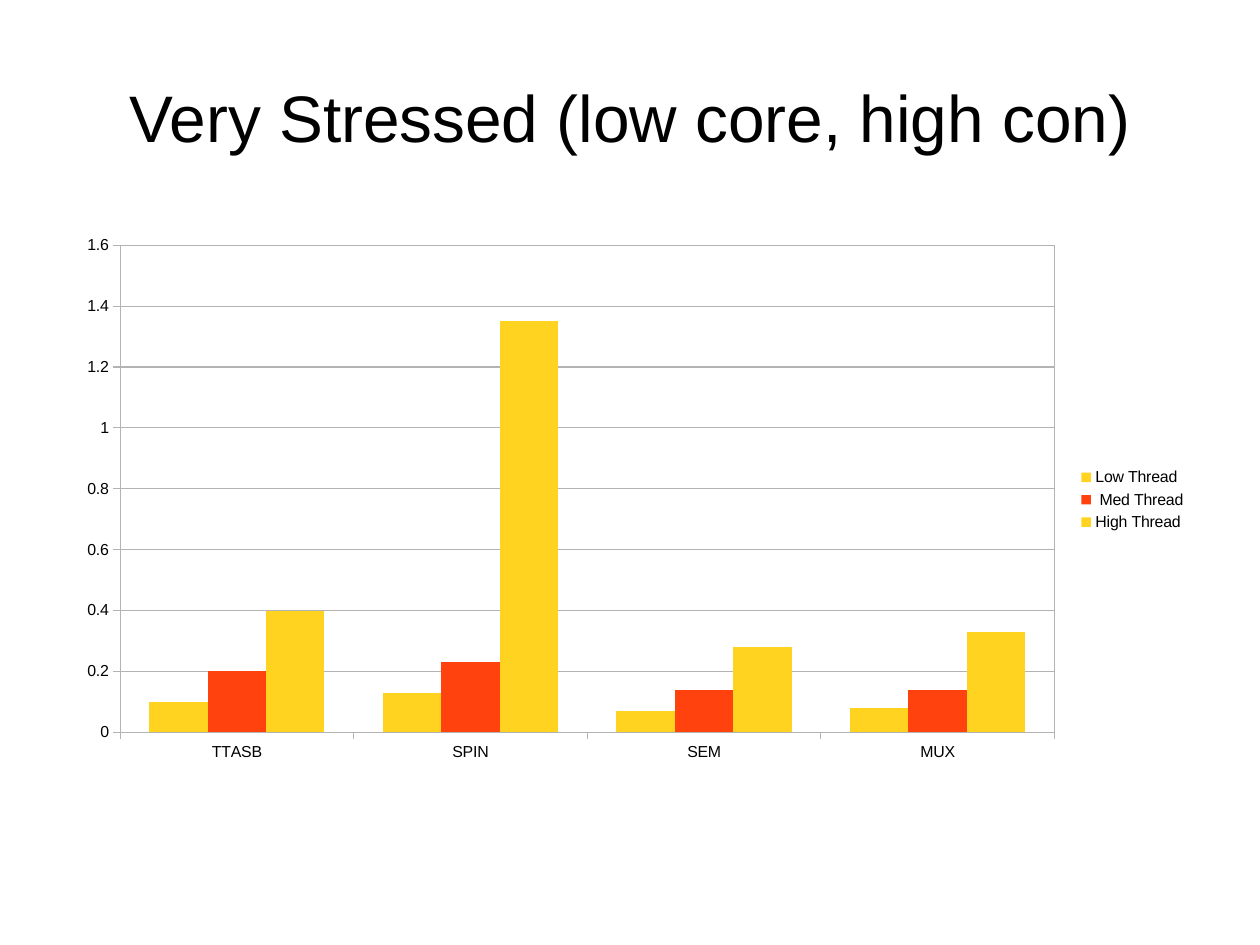
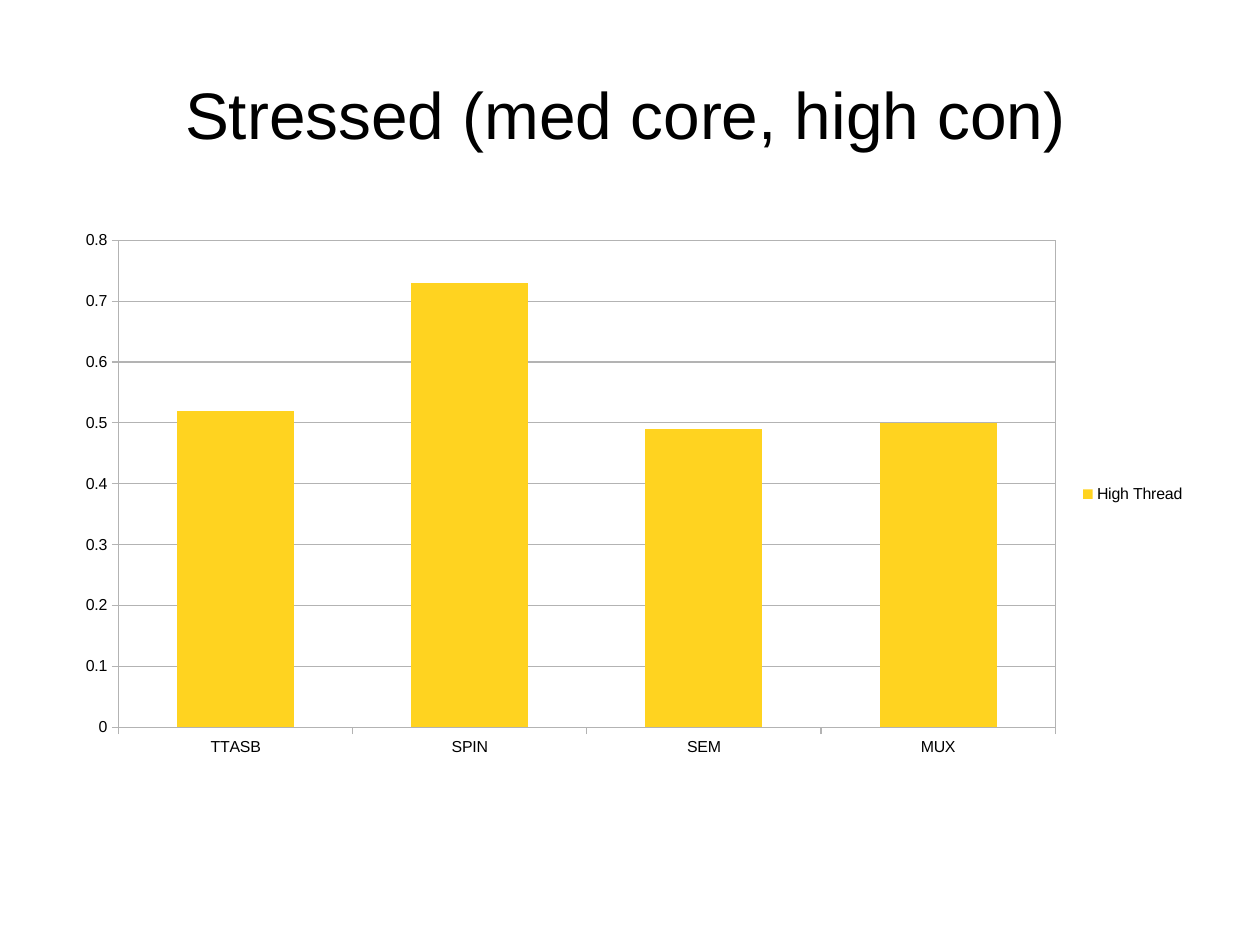
from pptx import Presentation
from pptx import util as u
from pptx.chart import data as chart_data
from pptx.dml import color
from pptx.enum import chart as chart_enum
from pptx.enum import text
from pptx.oxml import parse_xml
from pptx.oxml.ns import nsdecls, qn

SLIDE_WIDTH, SLIDE_HEIGHT = u.Cm(28), u.Cm(21)
FONT = "Arial"
COLORS = {"ink": "000000", "rule": "B3B3B3", "paper": "FFFFFF",
          "yellow": "FFD320", "orange": "FF420E"}
TITLE_PERCENT = (90, 16.7)
CHART_PERCENT = (90, 57.93)
LOCKS = ["TTASB", "SPIN", "SEM", "MUX"]
SLIDES = [
    {"title": "Very Stressed (low core, high con)",
     "title_at": (5, 3.95), "chart_at": (5.08, 23.93),
     "plot_percent": (4.95, 3.5, 82.4, 89), "top": 1.6, "step": 0.2,
     "series": [("Low Thread", "yellow", [0.1, 0.13, 0.07, 0.08]),
                (" Med Thread", "orange", [0.2, 0.23, 0.14, 0.14]),
                ("High Thread", "yellow", [0.4, 1.35, 0.28, 0.33])]},
    {"title": "Stressed (med core, high con)",
     "title_at": (4.63, 3.63), "chart_at": (5, 23.34),
     "plot_percent": (4.9, 3.6, 82.6, 89), "top": 0.8, "step": 0.1,
     "series": [("High Thread", "yellow", [0.52, 0.73, 0.49, 0.5])]},
]


def rgb(name):
    """Return the named palette colour."""
    return color.RGBColor.from_string(COLORS[name])


def box(corner, size):
    """Turn percentages of the slide into left, top, width and height."""
    return [u.Emu(round(percent * length / 100)) for percent, length in
            zip(corner + size, (SLIDE_WIDTH, SLIDE_HEIGHT) * 2)]


def style_font(font, size):
    """Apply the shared typeface and ink colour."""
    font.name, font.size = FONT, u.Pt(size)
    font.color.rgb = rgb("ink")


def style_rule(line):
    """Draw a line as a grey hairline."""
    line.color.rgb = rgb("rule")
    line.width = u.Pt(0)


def place_title(slide, words, area):
    """Move and format the title placeholder."""
    title = slide.shapes.title
    title.left, title.top, title.width, title.height = area
    frame = title.text_frame
    frame.text = words
    frame.word_wrap = True
    frame.auto_size = text.MSO_AUTO_SIZE.NONE
    frame.vertical_anchor = text.MSO_ANCHOR.MIDDLE
    frame.margin_left = frame.margin_right = frame.margin_top = frame.margin_bottom = 0
    paragraph = frame.paragraphs[0]
    paragraph.alignment = text.PP_ALIGN.CENTER
    style_font(paragraph.font, 41.4)


def frame_plot(chart, percents):
    """Fix the inner plot area and outline it."""
    plot_area = chart.element.find(".//" + qn("c:plotArea"))
    for layout in plot_area.findall(qn("c:layout")):
        plot_area.remove(layout)
    modes = "".join(f'<c:{key}Mode val="edge"/>' for key in "xy")
    shares = "".join(f'<c:{key} val="{percent / 100:.4f}"/>'
                     for key, percent in zip("xywh", percents))
    plot_area.insert(0, parse_xml(
        f'<c:layout {nsdecls("c")}><c:manualLayout><c:layoutTarget val="inner"/>'
        f'{modes}{shares}</c:manualLayout></c:layout>'))
    plot_area.append(parse_xml(
        f'<c:spPr {nsdecls("c", "a")}><a:noFill/><a:ln w="0"><a:solidFill>'
        f'<a:srgbClr val="{COLORS["rule"]}"/></a:solidFill></a:ln></c:spPr>'))


def place_chart(slide, content, area):
    """Add a clustered column chart with a legend on the right."""
    data = chart_data.CategoryChartData()
    data.categories = LOCKS
    for name, _, values in content["series"]:
        data.add_series(name, values)
    chart = slide.shapes.add_chart(
        chart_enum.XL_CHART_TYPE.COLUMN_CLUSTERED, *area, data).chart
    style_font(chart.font, 10)
    chart.has_title = False
    chart.has_legend = True
    chart.legend.position = chart_enum.XL_LEGEND_POSITION.RIGHT
    chart.legend.include_in_layout = False
    style_font(chart.legend.font, 10)
    plot = chart.plots[0]
    plot.gap_width, plot.overlap, plot.vary_by_categories = 100, 0, False
    for column, (_, tone, _) in zip(plot.series, content["series"]):
        column.format.fill.solid()
        column.format.fill.fore_color.rgb = rgb(tone)
    for axis in (chart.category_axis, chart.value_axis):
        axis.major_tick_mark = chart_enum.XL_TICK_MARK.OUTSIDE
        axis.minor_tick_mark = chart_enum.XL_TICK_MARK.NONE
        style_font(axis.tick_labels.font, 10)
        style_rule(axis.format.line)
    scale = chart.value_axis
    scale.minimum_scale, scale.maximum_scale = 0, content["top"]
    scale.major_unit = content["step"]
    scale.has_major_gridlines = True
    style_rule(scale.major_gridlines.format.line)
    frame_plot(chart, content["plot_percent"])


def add_chart_slide(presentation, content):
    """Add one slide holding a title above a chart."""
    slide = presentation.slides.add_slide(presentation.slide_layouts[5])
    slide.background.fill.solid()
    slide.background.fill.fore_color.rgb = rgb("paper")
    place_title(slide, content["title"], box(content["title_at"], TITLE_PERCENT))
    place_chart(slide, content, box(content["chart_at"], CHART_PERCENT))


def main():
    """Build and save the presentation."""
    presentation = Presentation()
    presentation.slide_width, presentation.slide_height = SLIDE_WIDTH, SLIDE_HEIGHT
    for content in SLIDES:
        add_chart_slide(presentation, content)
    presentation.save("out.pptx")


if __name__ == "__main__":
    main()
